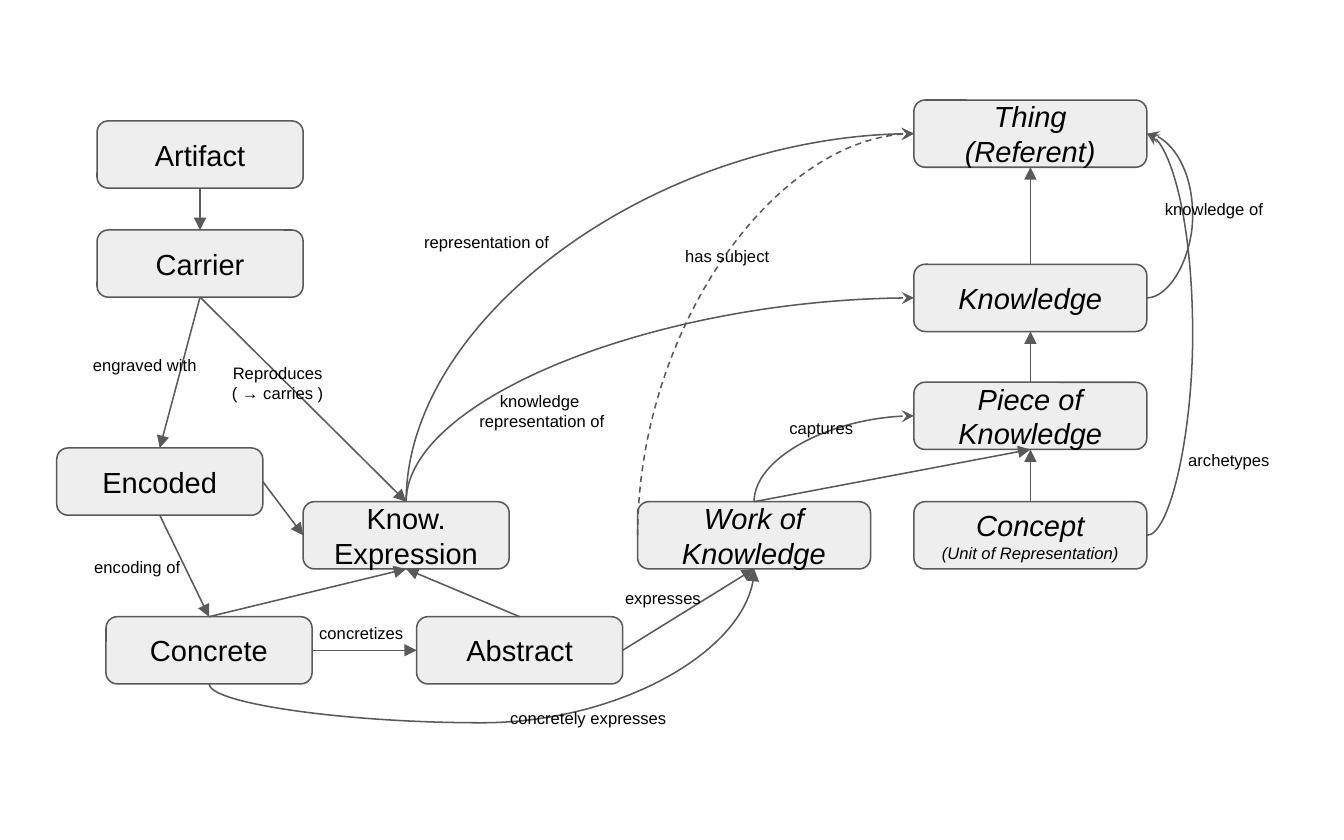
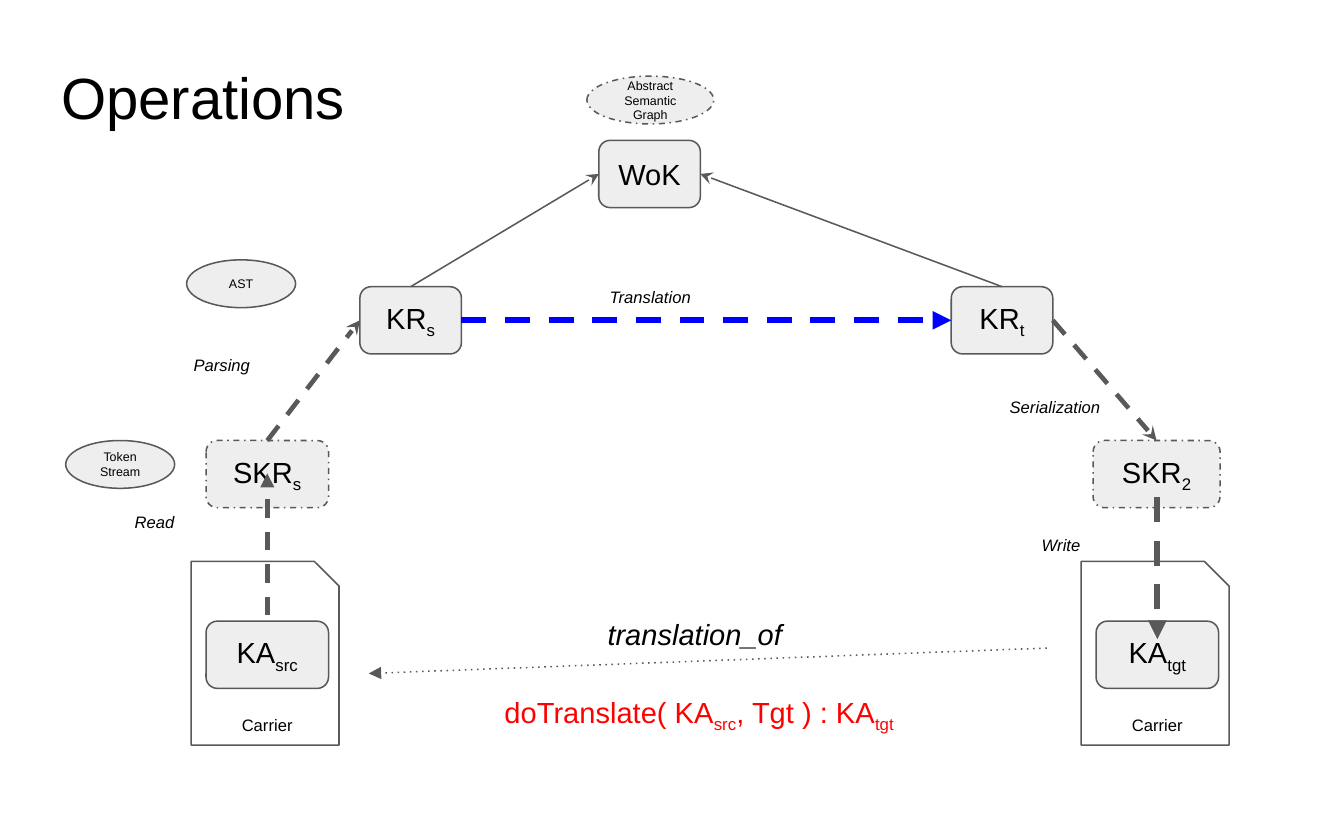
import copy

import pptx
import pptx.dml.color
import pptx.enum.shapes
import pptx.enum.text
import pptx.util
from lxml import etree
from pptx.oxml.ns import qn

Inches = pptx.util.Inches
RGBColor = pptx.dml.color.RGBColor
SHAPE = pptx.enum.shapes.MSO_SHAPE
CONNECTOR = pptx.enum.shapes.MSO_CONNECTOR
ALIGN = pptx.enum.text.PP_ALIGN
ANCHOR = pptx.enum.text.MSO_ANCHOR

BLACK = RGBColor(0x00, 0x00, 0x00)
GRAY = RGBColor(0x59, 0x59, 0x59)
PALE = RGBColor(0xEE, 0xEE, 0xEE)
BLUE = RGBColor(0x00, 0x00, 0xFF)
RED = RGBColor(0xFF, 0x00, 0x00)
FONT = "Arial"
SLIDE_WIDTH = Inches(9)
SLIDE_HEIGHT = SLIDE_WIDTH * 5 // 8
BOX_HEIGHT = 0.45
LABEL_HEIGHT = 0.32
BULGE = 0.26
TOP, LEFT, BOTTOM, RIGHT = range(4)

# Concept map: name -> (text parts, left, top); each column has one box width.
CARRIER_X, WORK_X, THING_X = 0.65, 4.27, 6.12
NARROW, WIDE = 1.38, 1.56
EXPRESSIONS = {
    "artifact": (["Artifact"], CARRIER_X, 0.81),
    "carrier": (["Carrier"], CARRIER_X, 1.54),
    "encoded": (["Encoded"], 0.38, 3),
    "expression": (["Know. Expression"], 2.03, 3.36),
    "concrete": (["Concrete"], 0.71, 4.13),
    "abstract": (["Abstract"], 2.79, 4.13),
}
IDEAS = {
    "thing": (["Thing\n(Referent)"], THING_X, 0.67),
    "knowledge": (["Knowledge"], THING_X, 1.77),
    "piece": (["Piece of Knowledge"], THING_X, 2.56),
    "work": (["Work of Knowledge"], WORK_X, 3.36),
    "concept": (["Concept\n", "(Unit of Representation)"], THING_X, 3.36),
}
MAP_ARROWS = [
    ("artifact", BOTTOM, "carrier", TOP),
    ("carrier", BOTTOM, "encoded", TOP),
    ("carrier", BOTTOM, "expression", TOP),
    ("encoded", RIGHT, "expression", LEFT),
    ("encoded", BOTTOM, "concrete", TOP),
    ("concrete", TOP, "expression", BOTTOM),
    ("concrete", RIGHT, "abstract", LEFT),
    ("abstract", TOP, "expression", BOTTOM),
    ("abstract", RIGHT, "work", BOTTOM),
    ("work", TOP, "piece", BOTTOM),
    ("concept", TOP, "piece", BOTTOM),
    ("piece", TOP, "knowledge", BOTTOM),
    ("knowledge", TOP, "thing", BOTTOM),
]
MAP_CURVES = [
    ("work", TOP, "piece", LEFT, None, "stealth"),
    ("work", LEFT, "thing", LEFT, "dash", "stealth"),
    ("expression", TOP, "thing", LEFT, None, "stealth"),
    ("expression", TOP, "knowledge", LEFT, None, "stealth"),
    ("knowledge", RIGHT, "thing", RIGHT, None, "stealth"),
    ("concept", RIGHT, "thing", RIGHT, None, "stealth"),
    ("concrete", BOTTOM, "work", BOTTOM, None, "triangle"),
]
MAP_LABELS = [  # text, left, top, width
    ("captures", 4.7, 2.7, 1.6),
    ("knowledge of", 7.68, 1.23, 0.9),
    ("has subject", 4.07, 1.55, 1.6),
    ("expresses", 3.64, 3.84, 1.6),
    ("representation of", 2.46, 1.45, 1.6),
    ("knowledge \nrepresentation of", 2.83, 2.52, 1.6),
    ("concretely expresses", 3.14, 4.64, 1.6),
    ("concretizes", 1.62, 4.07, 1.6),
    ("Reproduces\n( → carries )", 1.06, 2.33, 1.6),
    ("archetypes", 7.78, 2.91, 0.9),
    ("encoding of", 0.33, 3.63, 1.18),
    ("engraved with", 0.38, 2.28, 1.18),
]

# Operations: name -> (text parts, left, top, width, dash)
STAGES = {
    "work": (["WoK"], 4.01, 0.94, 0.68, None),
    "source": (["KR", "s"], 2.41, 1.92, 0.68, None),
    "target": (["KR", "t"], 6.37, 1.92, 0.68, None),
    "source syntax": (["SKR", "s"], 1.38, 2.95, 0.82, "dashDot"),
    "target syntax": (["SKR", "2"], 7.32, 2.95, 0.85, "dashDot"),
}
ELLIPSES = [
    ("Abstract Semantic\nGraph", 3.93, 0.51, 0.85, "dashDot"),
    ("AST", 1.25, 1.74, 0.73, None),
    ("Token\nStream", 0.44, 2.95, 0.73, None),
]
CARRIERS = [("src", 1.28), ("tgt", 7.24)]
STAGE_ARROWS = [  # from, side, to, side, colour, points, dash, arrowhead
    ("source", TOP, "work", LEFT, GRAY, 0.75, None, "stealth"),
    ("target", TOP, "work", RIGHT, GRAY, 0.75, None, "stealth"),
    ("source", RIGHT, "target", LEFT, BLUE, 3, "dash", "triangle"),
    ("source syntax", TOP, "source", LEFT, GRAY, 2.25, "dash", "stealth"),
    ("target", RIGHT, "target syntax", TOP, GRAY, 2.25, "dash", "stealth"),
]
CARRIER_ARROWS = [  # from, to, points, dash
    ((1.79, 4.12), (1.79, 3.17), 2.25, "dash"),
    ((7.75, 3.33), (7.75, 4.28), 3, "dash"),
    ((7.01, 4.34), (2.47, 4.51), 0.75, "dot"),
]
STEP_LABELS = [
    ("Translation", 3.86, 1.82, 0.99),
    ("Read", 0.44, 3.33, 1.19),
    ("Serialization", 6.47, 2.56, 1.19),
    ("Write", 6.51, 3.48, 1.19),
    ("Parsing", 0.89, 2.28, 1.19),
]


def write(box, parts, size, color=BLACK, italic=False, align=ALIGN.CENTER,
          anchor=ANCHOR.TOP, small=None):
    """Fill a box; every second part is a subscript, or has the small size if given."""
    frame = box.text_frame
    frame.word_wrap = True
    frame.auto_size = pptx.enum.text.MSO_AUTO_SIZE.NONE
    frame.vertical_anchor = anchor
    frame.margin_left = frame.margin_right = Inches(0.1)
    frame.margin_top = frame.margin_bottom = Inches(0.1)
    para = frame.paragraphs[0]
    para.alignment = align
    para.text = parts[0]
    first_spans = len(para.runs)
    for part in parts[1:]:
        para.add_run().text = part
    for number, span in enumerate(para.runs):
        font = span.font
        font.name, font.italic, font.color.rgb = FONT, italic, color
        font.size = pptx.util.Pt(size)
        if number >= first_spans and (number - first_spans) % 2 == 0:
            if small:
                font.size = pptx.util.Pt(small)
            else:
                font._rPr.set("baseline", "-25000")
    for line_break in para._p.findall(qn("a:br")):
        line_break.append(copy.deepcopy(para.runs[0].font._rPr))


def outline(shape, color=GRAY, points=0.75, dash=None, arrowhead=None):
    shape.line.color.rgb = color
    shape.line.width = pptx.util.Pt(points)
    line = shape.line._get_or_add_ln()
    if dash:
        etree.SubElement(line, qn("a:prstDash"), val=dash)
    if arrowhead:
        etree.SubElement(line, qn("a:tailEnd"), type=arrowhead)


def add_box(shapes, kind, left, top, width, height, fill=PALE, dash=None):
    box = shapes.add_shape(kind, *map(Inches, (left, top, width, height)))
    box.shadow.inherit = False
    if fill is None:
        box.fill.background()
    else:
        box.fill.solid()
        box.fill.fore_color.rgb = fill
    outline(box, dash=dash)
    return box


def add_node(shapes, parts, left, top, width, italic=False, dash=None, small=None):
    node = add_box(shapes, SHAPE.ROUNDED_RECTANGLE, left, top, width, BOX_HEIGHT, dash=dash)
    write(node, parts, 14, italic=italic, anchor=ANCHOR.MIDDLE, small=small)
    return node


def add_label(shapes, parts, left, top, width, height=LABEL_HEIGHT, size=8, **style):
    box = shapes.add_textbox(*map(Inches, (left, top, width, height)))
    write(box, parts, size, **style)


def finish_line(connector, **style):
    outline(connector, **style)
    etree.SubElement(connector._element.spPr, qn("a:effectLst"))


def join(page, start, start_side, end, end_side, **style):
    """Glue a straight arrow to the sides of two boxes."""
    connector = page.shapes.add_connector(CONNECTOR.STRAIGHT, 0, 0, 0, 0)
    connector.begin_connect(start, start_side)
    connector.end_connect(end, end_side)
    finish_line(connector, **style)


def side_point(box, side):
    across = {LEFT: 0, RIGHT: box.width}.get(side, box.width // 2)
    down = {TOP: 0, BOTTOM: box.height}.get(side, box.height // 2)
    return box.left + across, box.top + down


def curve(page, start, start_side, end, end_side, **style):
    """Draw a quarter bend, or a loop that bulges out when both sides are the same."""
    x1, y1 = side_point(start, start_side)
    x2, y2 = side_point(end, end_side)
    beside = start_side == end_side == RIGHT
    loop = beside or start_side == end_side == BOTTOM
    # Bends that leave upwards are turned a quarter, so width and height swap.
    width, height = (Inches(0.001), abs(y2 - y1)) if beside else (abs(y2 - y1), abs(x2 - x1))
    left, top = (x1 + x2 - width) // 2, (y1 + y2 - height) // 2
    connector = page.shapes.add_connector(
        CONNECTOR.CURVE, left, top, left + width, top + height)
    properties = connector._element.spPr
    frame = properties.find(qn("a:xfrm"))
    frame.set("rot", str((180 if beside else 270) * 60000))
    if beside:
        frame.set("flipH", "1")
    geometry = properties.find(qn("a:prstGeom"))
    geometry.set("prst", "curvedConnector3" if loop else "curvedConnector2")
    if loop:
        share = Inches(BULGE) / width * (1 if beside else -1)
        etree.SubElement(geometry.find(qn("a:avLst")), qn("a:gd"),
                         name="adj1", fmla=f"val {round(share * 100000)}")
    finish_line(connector, **style)


def build_concept_map(deck):
    page = deck.slides.add_slide(deck.slide_layouts[6])
    nodes = {}
    for group, width, italic in ((EXPRESSIONS, NARROW, False), (IDEAS, WIDE, True)):
        for name, (parts, left, top) in group.items():
            nodes[name] = add_node(page.shapes, parts, left, top, width, italic, small=8)
    for start, start_side, end, end_side in MAP_ARROWS:
        join(page, nodes[start], start_side, nodes[end], end_side, arrowhead="triangle")
    for start, start_side, end, end_side, dash, arrowhead in MAP_CURVES:
        curve(page, nodes[start], start_side, nodes[end], end_side,
              dash=dash, arrowhead=arrowhead)
    for text, left, top, width in MAP_LABELS:
        add_label(page.shapes, [text], left, top, width)


def add_carrier(page, subscript, left, top=3.76):
    shapes = page.shapes.add_group_shape().shapes
    add_box(shapes, SHAPE.SNIP_1_RECTANGLE, left, top, 0.99, 1.23, fill=None)
    add_label(shapes, ["Carrier"], left - 0.12, top + 0.93, 1.26)
    add_node(shapes, ["KA", subscript], left + 0.1, top + 0.4, 0.82)


def build_operations(deck):
    page = deck.slides.add_slide(deck.slide_layouts[5])
    title = page.shapes.title
    title.left, title.top, title.width, title.height = map(Inches, (0.31, 0.31, 8.39, 0.63))
    write(title, ["Operations"], 28, align=ALIGN.LEFT)
    nodes = {name: add_node(page.shapes, parts, left, top, width, dash=dash)
             for name, (parts, left, top, width, dash) in STAGES.items()}
    for text, left, top, width, dash in ELLIPSES:
        ellipse = add_box(page.shapes, SHAPE.OVAL, left, top, width, 0.32, dash=dash)
        write(ellipse, [text], 6, anchor=ANCHOR.MIDDLE)
    for subscript, left in CARRIERS:
        add_carrier(page, subscript, left)
    for start, start_side, end, end_side, color, points, dash, arrowhead in STAGE_ARROWS:
        join(page, nodes[start], start_side, nodes[end], end_side,
             color=color, points=points, dash=dash, arrowhead=arrowhead)
    for start, end, points, dash in CARRIER_ARROWS:
        arrow = page.shapes.add_connector(CONNECTOR.STRAIGHT, *map(Inches, start + end))
        finish_line(arrow, points=points, dash=dash, arrowhead="triangle")
    for text, left, top, width in STEP_LABELS:
        add_label(page.shapes, [text], left, top, width, italic=True)
    add_label(page.shapes, ["translation_of"], 3.97, 4.03, 1.6, 0.21, 14,
              italic=True, align=ALIGN.LEFT)
    add_label(page.shapes, ["doTranslate( KA", "src", ", Tgt ) : KA", "tgt"],
              3.28, 4.55, 2.98, 0.68, 14, color=RED, align=ALIGN.LEFT)


def main():
    deck = pptx.Presentation()
    deck.slide_width, deck.slide_height = SLIDE_WIDTH, SLIDE_HEIGHT
    build_concept_map(deck)
    build_operations(deck)
    deck.save("out.pptx")


if __name__ == "__main__":
    main()
